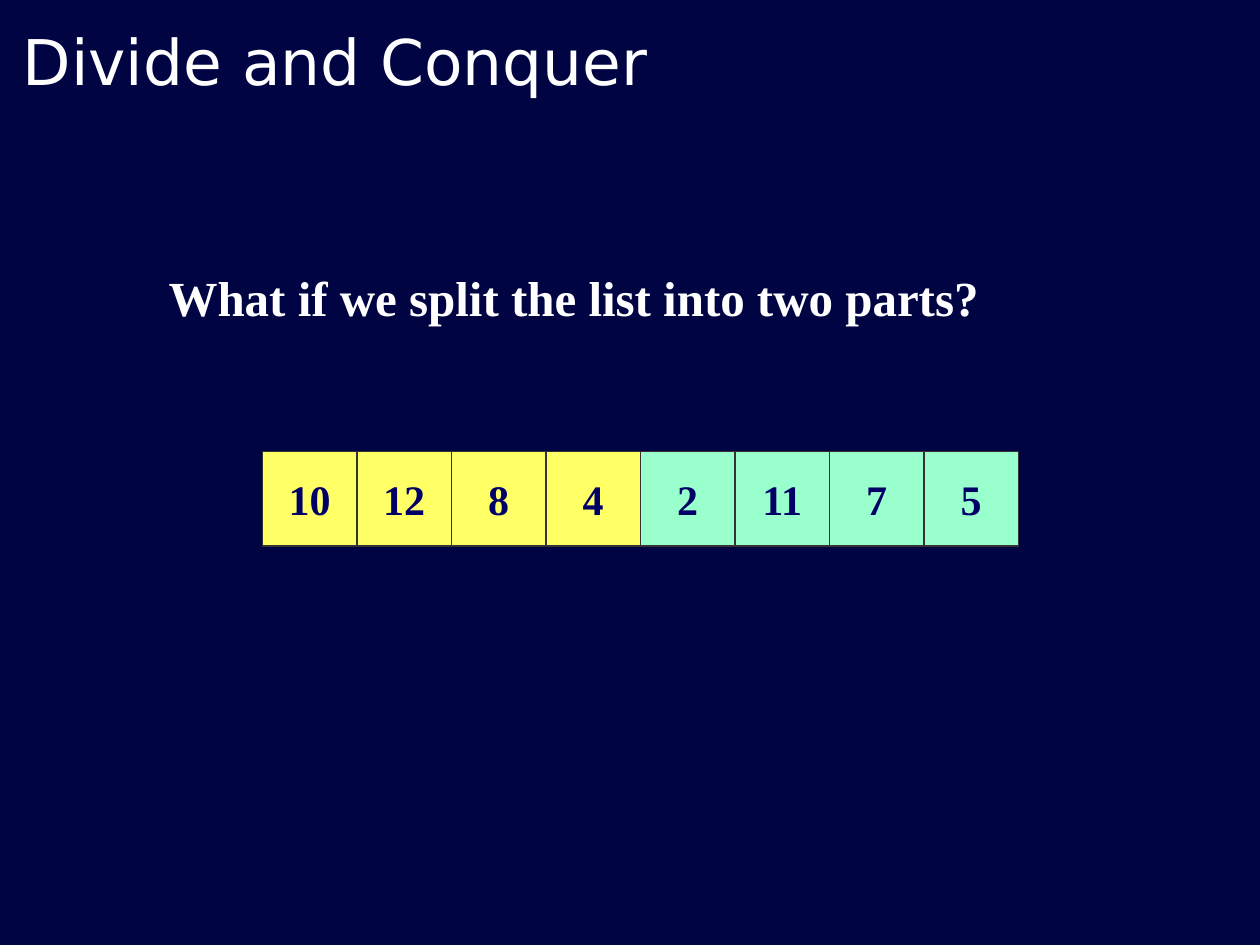
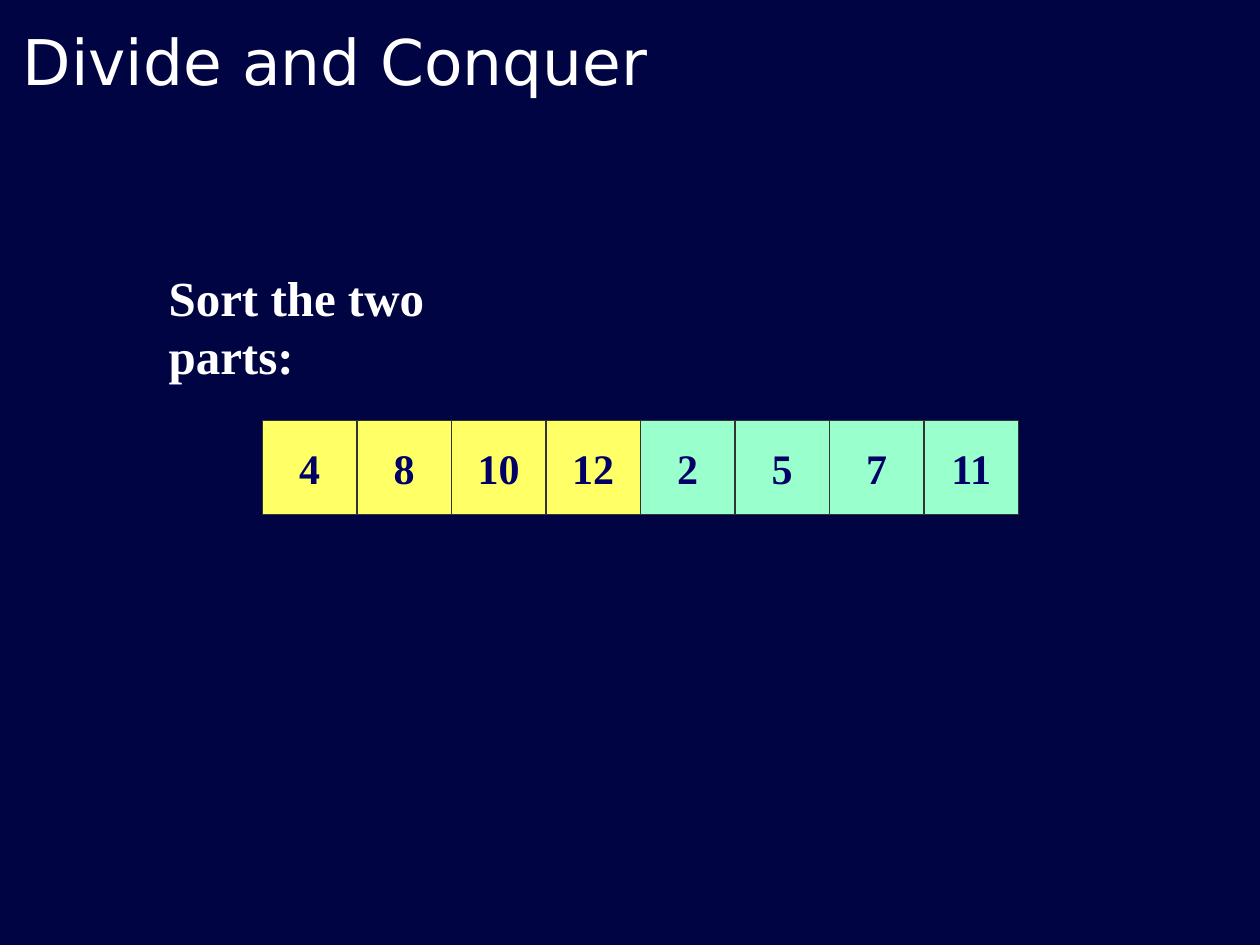
from dataclasses import dataclass

from pptx import Presentation
from pptx.dml.color import RGBColor
from pptx.enum.shapes import MSO_SHAPE
from pptx.enum.text import MSO_ANCHOR, MSO_AUTO_SIZE, PP_ALIGN
from pptx.util import Cm, Pt


@dataclass(frozen=True)
class Theme:
    background: RGBColor = RGBColor.from_string("010442")
    light_text: RGBColor = RGBColor.from_string("FFFFFF")
    cell_text: RGBColor = RGBColor.from_string("000066")
    cell_line: RGBColor = RGBColor.from_string("333333")
    left_half: RGBColor = RGBColor.from_string("FFFF66")
    right_half: RGBColor = RGBColor.from_string("99FFCC")
    title_font: str = "DejaVu Sans"
    body_font: str = "Times New Roman"
    title_size: Pt = Pt(36)
    statement_size: Pt = Pt(28)
    cell_size: Pt = Pt(24)
    cell_line_width: Pt = Pt(0.75)


THEME = Theme()
ROW_LEFT = Cm(5.29)
ROW_WIDTH = Cm(15.24)


def write_text(shape, text, font_name, size, color, bold):
    shape.text_frame.text = text
    font = shape.text_frame.paragraphs[0].runs[0].font
    font.name = font_name
    font.size = size
    font.color.rgb = color
    font.bold = bold


def add_title(slide, text):
    title = slide.shapes.add_textbox(Cm(0.21), Cm(0.21), Cm(23.02), Cm(1.9))
    write_text(title, text, THEME.title_font, THEME.title_size, THEME.light_text, False)
    title.text_frame.word_wrap = True
    title.text_frame.vertical_anchor = MSO_ANCHOR.BOTTOM


def add_statement(slide, text, width):
    statement = slide.shapes.add_textbox(Cm(3.15), Cm(5.26), width, Cm(1.45))
    write_text(statement, text, THEME.body_font, THEME.statement_size, THEME.light_text, True)
    statement.text_frame.word_wrap = False
    statement.text_frame.auto_size = MSO_AUTO_SIZE.SHAPE_TO_FIT_TEXT


def add_cell(group, value, left, top, side, fill_color):
    cell = group.shapes.add_shape(MSO_SHAPE.RECTANGLE, left, top, side, side)
    cell.shadow.inherit = False
    cell.fill.solid()
    cell.fill.fore_color.rgb = fill_color
    cell.line.color.rgb = THEME.cell_line
    cell.line.width = THEME.cell_line_width
    write_text(cell, str(value), THEME.body_font, THEME.cell_size, THEME.cell_text, True)
    cell.text_frame.word_wrap = False
    cell.text_frame.vertical_anchor = MSO_ANCHOR.MIDDLE
    cell.text_frame.paragraphs[0].alignment = PP_ALIGN.CENTER


def add_split_list(slide, values, top):
    """Draw a row of square cells whose two halves differ in colour."""
    group = slide.shapes.add_group_shape()
    side = ROW_WIDTH // len(values)
    for index, value in enumerate(values):
        in_left_half = index < len(values) // 2
        fill_color = THEME.left_half if in_left_half else THEME.right_half
        add_cell(group, value, ROW_LEFT + index * side, top, side, fill_color)


def add_list_slide(presentation, statement, statement_width, values, row_top):
    slide = presentation.slides.add_slide(presentation.slide_layouts[6])
    add_title(slide, "Divide and Conquer")
    add_statement(slide, statement, statement_width)
    add_split_list(slide, values, row_top)


def main():
    presentation = Presentation()
    presentation.slide_width = Cm(25.4)
    presentation.slide_height = Cm(19.05)
    background = presentation.slide_master.background.fill
    background.solid()
    background.fore_color.rgb = THEME.background

    left_values, right_values = [10, 12, 8, 4], [2, 11, 7, 5]
    add_list_slide(presentation, "What if we split the list into two parts?", Cm(16.84),
                   left_values + right_values, Cm(9.1))
    add_list_slide(presentation, "Sort the two parts:", Cm(8.41),
                   sorted(left_values) + sorted(right_values), Cm(8.47))
    presentation.save("out.pptx")


if __name__ == "__main__":
    main()
